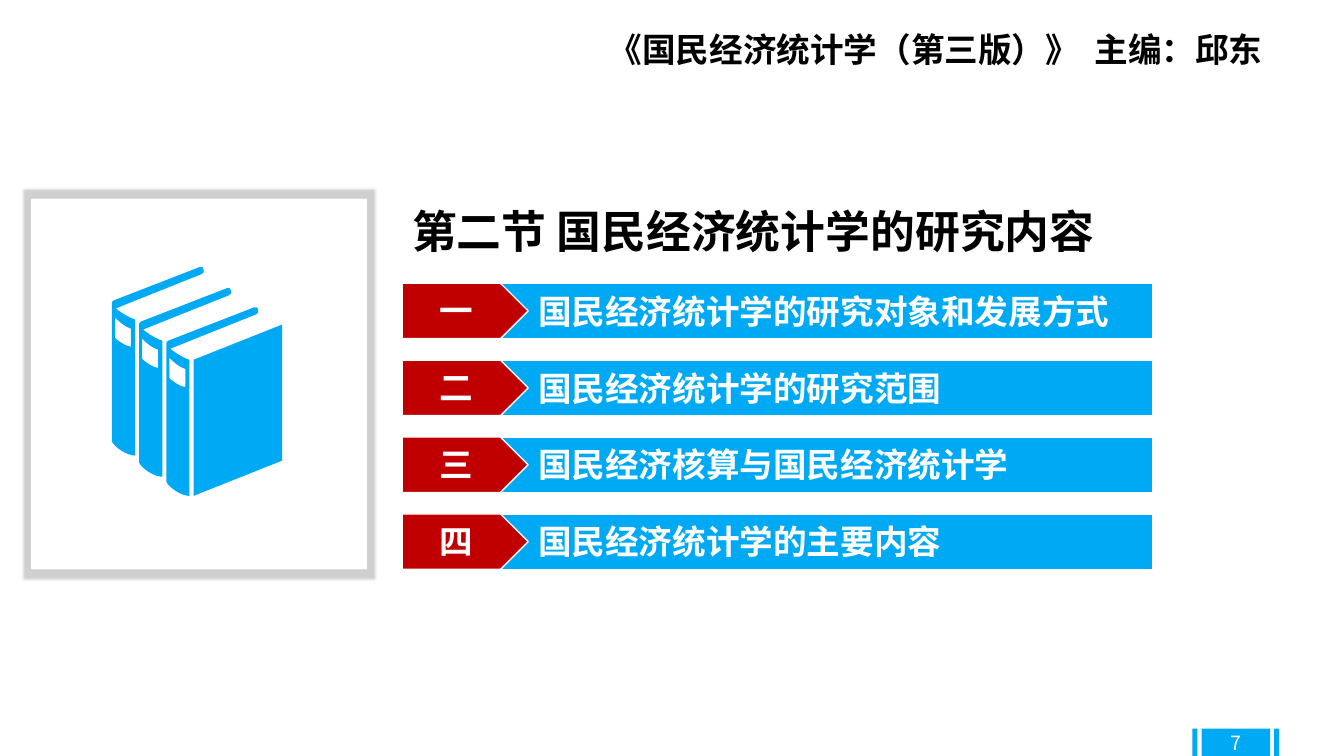
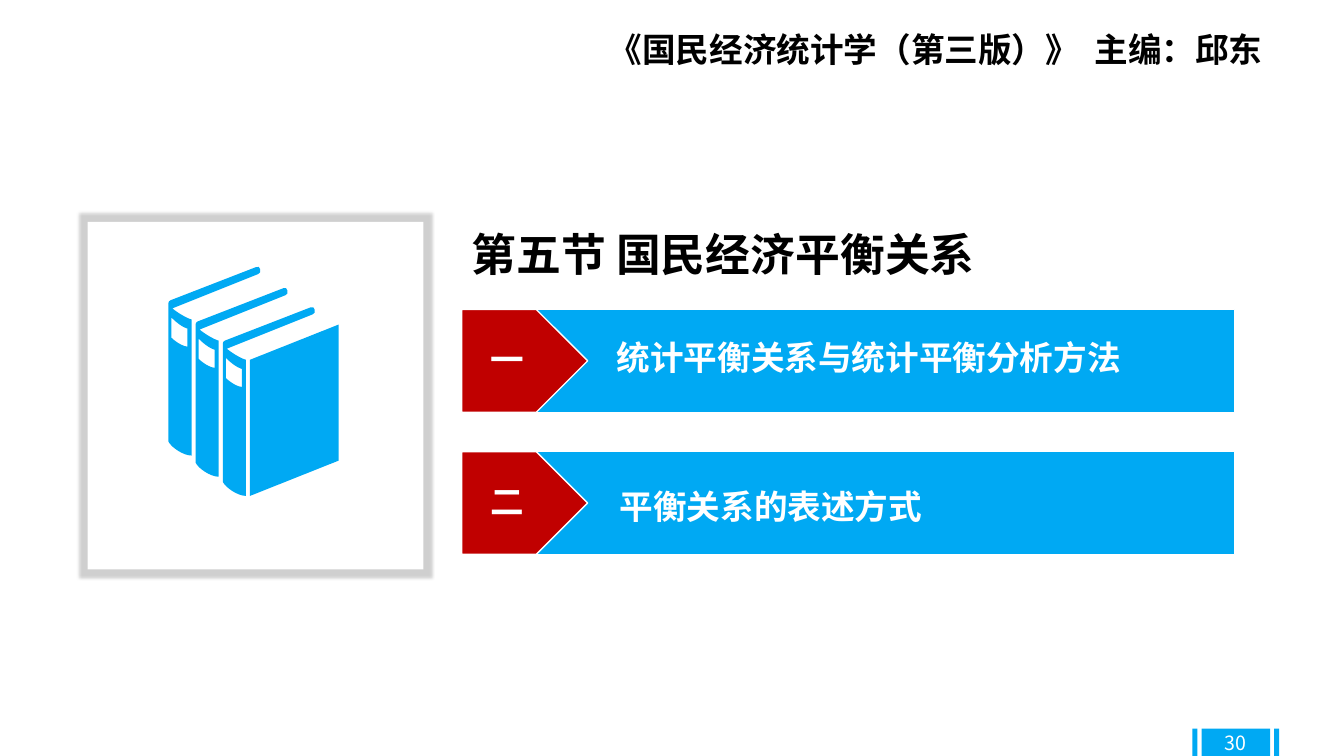
from dataclasses import dataclass
from typing import Optional

import lxml.etree
import pptx
import pptx.dml.color
import pptx.enum.shapes
import pptx.enum.text
import pptx.oxml.ns
import pptx.shapes.autoshape
import pptx.slide
import pptx.util

Inches = pptx.util.Inches
RGBColor = pptx.dml.color.RGBColor
Align = pptx.enum.text.PP_ALIGN
Anchor = pptx.enum.text.MSO_ANCHOR
Preset = pptx.enum.shapes.MSO_SHAPE
qn = pptx.oxml.ns.qn
Point = tuple[float, float]


@dataclass(frozen=True)
class Theme:
    font: str = "Noto Sans CJK SC"
    blue: RGBColor = RGBColor(0x00, 0xA9, 0xF3)
    red: RGBColor = RGBColor(0xC0, 0x00, 0x00)
    white: RGBColor = RGBColor(0xFF, 0xFF, 0xFF)
    black: RGBColor = RGBColor(0x00, 0x00, 0x00)
    heading_size: int = 32
    body_size: int = 24
    page_size: int = 14


@dataclass(frozen=True)
class Box:
    left: float
    top: float
    width: float
    height: float

    def emu(self) -> tuple[int, int, int, int]:
        return (Inches(self.left), Inches(self.top),
                Inches(self.width), Inches(self.height))


@dataclass(frozen=True)
class Topic:
    numeral: str
    title: str
    left: float
    drop: float


@dataclass(frozen=True)
class Agenda:
    left: float
    top: float
    pitch: float
    row_height: float
    bar_left: float
    bar_width: float
    numeral_indent: float
    numeral_drop: float
    topics: list[Topic]


@dataclass(frozen=True)
class Section:
    heading: str
    page: str
    card: Box
    agenda: Agenda


THEME = Theme()
SLIDE_WIDTH = 40 / 3
BOOK_TITLE = "《国民经济统计学（第三版）》\t主编：邱东"
EDITOR_TAB = 4.82
PAGE_BADGE = Box(11.92, 7.23, 0.68, 0.27)
BADGE_EDGES = [Box(left, 7.23, 0.05, 0.27) for left in (12.64, 11.83)]
BANDS = [Box(0, top, SLIDE_WIDTH, 0.13) for top in (0.96, 7.08)]
BOOK_OFFSETS = [(0, 0), (0.27, 0.21), (0.54, 0.4)]
FRONT_COVER = [[(0.81, 0.93)], [(0.81, 2.28)], [(1.69, 1.93)], [(1.69, 0.58)]]
BOOK_LABEL = [
    [(0.19, 0.62)], [(0.19, 0.8)], [(0.11, 0.79), (0.03, 0.71), (0.03, 0.71)],
    [(0.03, 0.51)], [(0.13, 0.61), (0.19, 0.62), (0.19, 0.62)],
]
BOOK_SPINE = [
    [(0.91, 0.03)], [(0.91, 0.01), (0.89, 0), (0.87, 0.01)], [(0.02, 0.34)],
    [(0.01, 0.35), (0, 0.35), (0, 0.37)], [(0, 1.74)],
    [(0.03, 1.8), (0.15, 1.88), (0.23, 1.88)], [(0.23, 0.53)],
    [(0.19, 0.52), (0.1, 0.47), (0.04, 0.42)], [(0.89, 0.08)],
    [(0.91, 0.08), (0.92, 0.05), (0.91, 0.03)],
]

SECTIONS = [
    Section("第二节 国民经济统计学的研究内容", "7", Box(0.31, 1.97, 3.33, 3.68),
            Agenda(3.99, 2.81, 0.763, 0.55, 4.84, 6.6, 0.27, 0.02, [
                Topic("一", "国民经济统计学的研究对象和发展方式", 5.24, 0.03),
                Topic("二", "国民经济统计学的研究范围", 5.24, 0.03),
                Topic("三", "国民经济核算与国民经济统计学", 5.24, 0.02),
                Topic("四", "国民经济统计学的主要内容", 5.24, 0.02)])),
    Section("第五节 国民经济平衡关系", "30", Box(0.87, 2.2, 3.33, 3.45),
            Agenda(4.58, 3.07, 1.41, 1.02, 5.3, 6.95, 0.19, 0.24, [
                Topic("一", "统计平衡关系与统计平衡分析方法", 6.02, 0.22),
                Topic("二", "平衡关系的表述方式", 6.05, 0.29)])),
]


def add_block(slide: pptx.slide.Slide, preset: Preset, box: Box, fill: RGBColor,
              outline: Optional[RGBColor] = None) -> pptx.shapes.autoshape.Shape:
    block = slide.shapes.add_shape(preset, *box.emu())
    block.shadow.inherit = False
    block.fill.solid()
    block.fill.fore_color.rgb = fill
    if outline is None:
        block.line.fill.background()
    else:
        block.line.color.rgb = outline
        block.line.width = pptx.util.Pt(1)
    return block


def add_label(slide: pptx.slide.Slide, box: Box, text: str, size: int,
              color: RGBColor, bold: bool = True, align: Align = Align.LEFT,
              anchor: Anchor = Anchor.TOP, tab: Optional[float] = None) -> None:
    frame = slide.shapes.add_textbox(*box.emu()).text_frame
    frame.word_wrap = True
    frame.vertical_anchor = anchor
    frame.text = text
    paragraph = frame.paragraphs[0]
    paragraph.alignment = align
    if tab is not None:
        stops = lxml.etree.SubElement(paragraph._p.get_or_add_pPr(), qn("a:tabLst"))
        lxml.etree.SubElement(stops, qn("a:tab"), pos=str(Inches(tab)), algn="l")
    for run in paragraph.runs:
        run.font.size = pptx.util.Pt(size)
        run.font.bold = bold
        run.font.color.rgb = color
        run.font.name = THEME.font
        lxml.etree.SubElement(run._r.get_or_add_rPr(), qn("a:ea"), typeface=THEME.font)


def place(segments: list[list[Point]], left: float, top: float) -> list[list[Point]]:
    return [[(Inches(left + x), Inches(top + y)) for x, y in segment]
            for segment in segments]


def add_books(slide: pptx.slide.Slide, left: float, top: float) -> None:
    contours = [place(FRONT_COVER, left, top)]
    for dx, dy in BOOK_OFFSETS:
        for outline in (BOOK_LABEL, BOOK_SPINE):
            contours.append(place(outline, left + dx, top + dy))
    builder = slide.shapes.build_freeform(*contours[0][0][-1], scale=1.0)
    for index, contour in enumerate(contours):
        if index:
            builder.move_to(*contour[0][-1])
        builder.add_line_segments([segment[-1] for segment in contour[1:]], close=True)
    books = builder.convert_to_shape()
    sides = list(books._element.iter(qn("a:lnTo")))
    segments = [segment for contour in contours for segment in contour[1:]]
    for side, segment in zip(sides, segments):
        if len(segment) == 3:
            curve = lxml.etree.Element(qn("a:cubicBezTo"))
            for x, y in segment:
                lxml.etree.SubElement(curve, qn("a:pt"), x=str(x - books.left),
                                      y=str(y - books.top))
            side.getparent().replace(side, curve)
    books.shadow.inherit = False
    books.fill.solid()
    books.fill.fore_color.rgb = THEME.blue
    books.line.fill.background()


def add_card(slide: pptx.slide.Slide, box: Box) -> None:
    card = add_block(slide, Preset.RECTANGLE, box, THEME.white)
    effects = card._element.spPr.find(qn("a:effectLst"))
    glow = lxml.etree.SubElement(effects, qn("a:outerShdw"), blurRad="25400",
                                 sx="105000", sy="105000", algn="ctr", rotWithShape="0")
    tint = lxml.etree.SubElement(glow, qn("a:prstClr"), val="black")
    lxml.etree.SubElement(tint, qn("a:alpha"), val="18000")
    add_books(slide, box.left + 0.8, 2.64)


def add_agenda(slide: pptx.slide.Slide, agenda: Agenda) -> None:
    for index, topic in enumerate(agenda.topics):
        top = agenda.top + index * agenda.pitch
        add_block(slide, Preset.RECTANGLE,
                  Box(agenda.bar_left, top, agenda.bar_width, agenda.row_height),
                  THEME.blue, THEME.white)
        add_block(slide, Preset.PENTAGON, Box(agenda.left, top, 1.25, agenda.row_height),
                  THEME.red, THEME.white)
        add_label(slide, Box(agenda.left + agenda.numeral_indent,
                             top + agenda.numeral_drop, 0.72, 0.5),
                  topic.numeral, THEME.body_size, THEME.white)
        title_width = len(topic.title) * THEME.body_size / 72 + 0.25
        add_label(slide, Box(topic.left, top + topic.drop, title_width, 0.5),
                  topic.title, THEME.body_size, THEME.white)


def add_section(slide: pptx.slide.Slide, section: Section) -> None:
    agenda = section.agenda
    add_card(slide, section.card)
    heading_width = agenda.bar_left + agenda.bar_width - agenda.left
    add_label(slide, Box(agenda.left, section.card.top, heading_width, 0.64),
              section.heading, THEME.heading_size, THEME.black, align=Align.JUSTIFY)
    add_agenda(slide, agenda)
    add_label(slide, Box(PAGE_BADGE.left, 7.17, PAGE_BADGE.width, 0.4), section.page,
              THEME.page_size, THEME.white, bold=False, align=Align.CENTER,
              anchor=Anchor.MIDDLE)
    add_label(slide, Box(5.94, 0.24, 7.23, 0.5), BOOK_TITLE, THEME.body_size,
              THEME.black, tab=EDITOR_TAB)


def move_frame_to_layout(slide: pptx.slide.Slide) -> None:
    parts = [(band, THEME.white) for band in BANDS]
    parts += [(badge, THEME.blue) for badge in (PAGE_BADGE, *BADGE_EDGES)]
    for box, fill in parts:
        block = add_block(slide, Preset.RECTANGLE, box, fill)
        slide.slide_layout.shapes.element.append(block._element)


def main() -> None:
    deck = pptx.Presentation()
    deck.slide_width, deck.slide_height = Inches(SLIDE_WIDTH), Inches(7.5)
    blank = deck.slide_layouts[6]
    for index, section in enumerate(SECTIONS):
        slide = deck.slides.add_slide(blank)
        if index == 0:
            move_frame_to_layout(slide)
        add_section(slide, section)
    deck.save("out.pptx")


if __name__ == "__main__":
    main()
